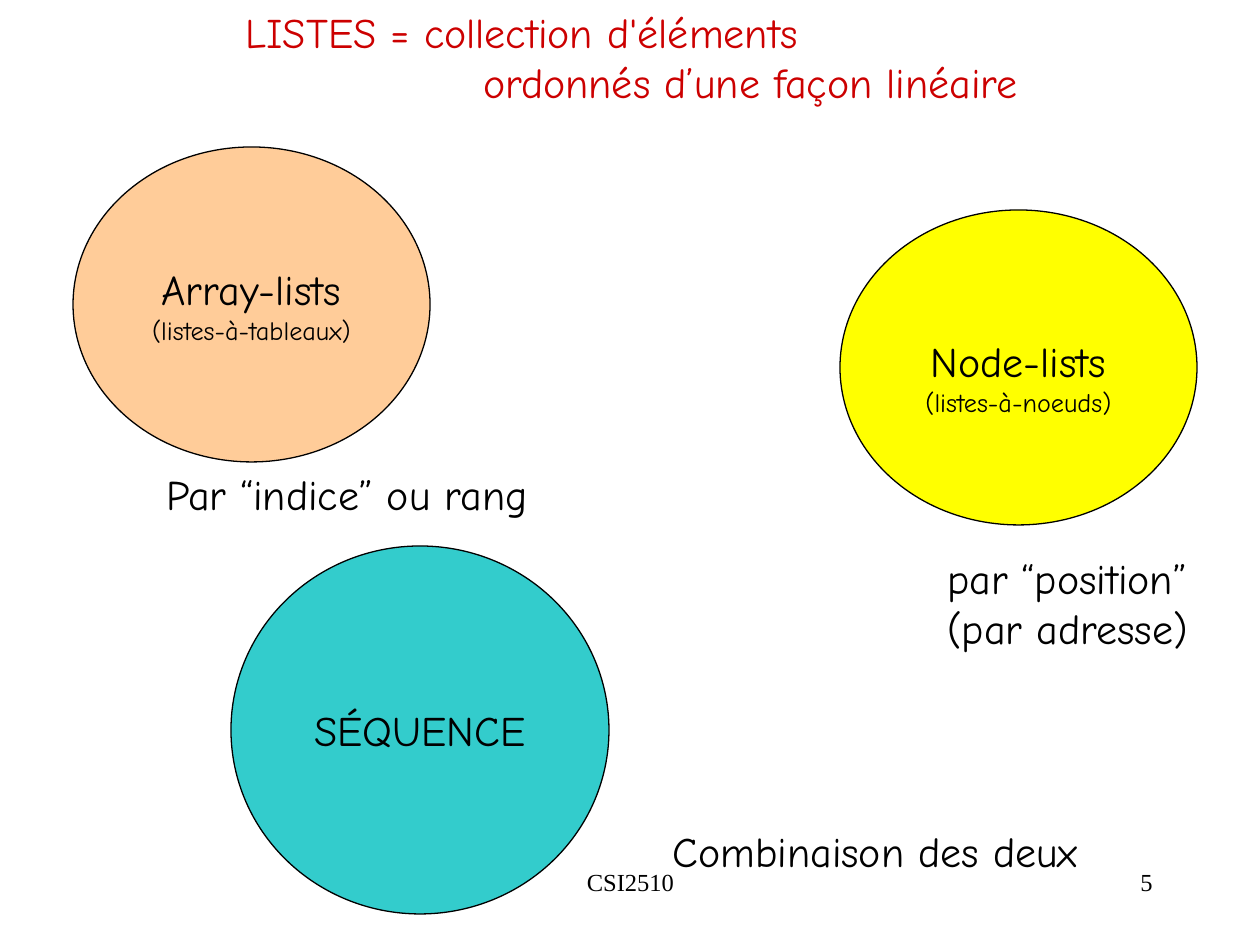
"""Build the slide that compares array lists, node lists and sequences."""
from dataclasses import dataclass

from pptx import Presentation
from pptx.dml.color import RGBColor
from pptx.enum.shapes import MSO_SHAPE as Shape
from pptx.enum.text import MSO_ANCHOR as Anchor, PP_ALIGN as Align
from pptx.util import Emu, Pt

PX_PER_INCH = 126
BLACK = RGBColor(0x00, 0x00, 0x00)
RED = RGBColor(0xCC, 0x00, 0x00)
PEACH = RGBColor(0xFF, 0xCC, 0x99)
YELLOW = RGBColor(0xFF, 0xFF, 0x00)
TEAL = RGBColor(0x33, 0xCC, 0xCC)
BODY_FONT = "Comic Neue"
FOOTER_FONT = "Times New Roman"


@dataclass(frozen=True)
class Line:
    text: str
    size: int = 24
    indent: int = 0


@dataclass(frozen=True)
class Circle:
    box: tuple[int, int, int, int]
    fill: RGBColor
    lines: tuple[Line, ...]
    top_inset: int = 6


@dataclass(frozen=True)
class Label:
    box: tuple[int, int, int, int]
    lines: tuple[Line, ...]
    color: RGBColor = BLACK
    font: str = BODY_FONT
    align: Align = Align.LEFT


FOOTERS = (
    Label((431, 861, 399, 63), (Line("CSI2510", 14),), font=FOOTER_FONT, align=Align.CENTER),
    Label((903, 861, 262, 63), (Line("5", 14),), font=FOOTER_FONT, align=Align.RIGHT),
)
CIRCLES = (
    Circle((73, 147, 357, 315), PEACH, (Line("Array-lists"), Line("(listes-à-tableaux)", 15))),
    Circle((840, 210, 357, 315), YELLOW,
           (Line("Node-lists"), Line("(listes-à-noeuds)", 15)), top_inset=25),
    Circle((231, 546, 378, 368), TEAL, (Line("SÉQUENCE"),)),
)
LABELS = (
    Label((154, 462, 417, 63), (Line("Par “indice” ou rang"),)),
    Label((935, 546, 266, 113), (Line("par “position”"), Line("(par adresse)"))),
    Label((660, 819, 431, 63), (Line("Combinaison des deux"),)),
    Label((233, 0, 800, 113),
          (Line("LISTES = collection d'éléments"),
           Line("ordonnés d’une façon linéaire", indent=238)), RED),
)


def px(n: int) -> Emu:
    """Turn pixels into EMU."""
    return Emu(round(n * 914400 / PX_PER_INCH))


def write(tf, lines: tuple[Line, ...], color: RGBColor, font: str, align: Align) -> None:
    """Write one paragraph per line into a text frame."""
    for i, line in enumerate(lines):
        p = tf.add_paragraph() if i else tf.paragraphs[0]
        p.alignment = align
        if line.indent:
            p._p.get_or_add_pPr().set("marL", str(px(line.indent)))
        r = p.add_run()
        r.text = line.text
        r.font.size = Pt(line.size)
        r.font.name = font
        r.font.color.rgb = color


def draw_circle(s, circle: Circle) -> None:
    """Draw an outlined ellipse with centred text."""
    sp = s.shapes.add_shape(Shape.OVAL, *map(px, circle.box))
    sp.shadow.inherit = False
    sp.fill.solid()
    sp.fill.fore_color.rgb = circle.fill
    sp.line.color.rgb = BLACK
    sp.line.width = Pt(0.75)
    tf = sp.text_frame
    tf.word_wrap = False
    tf.vertical_anchor = Anchor.MIDDLE
    tf.margin_top = px(circle.top_inset)
    write(tf, circle.lines, BLACK, BODY_FONT, Align.CENTER)


def draw_label(s, label: Label) -> None:
    """Draw a text box."""
    tf = s.shapes.add_textbox(*map(px, label.box)).text_frame
    tf.word_wrap = True
    if label.align == Align.LEFT:
        tf.margin_right = 0
    write(tf, label.lines, label.color, label.font, label.align)


def main() -> None:
    """Build and save the slide."""
    prs = Presentation()
    prs.slide_width, prs.slide_height = px(1260), px(945)
    s = prs.slides.add_slide(prs.slide_layouts[6])
    for footer in FOOTERS:
        draw_label(s, footer)
    for circle in CIRCLES:
        draw_circle(s, circle)
    for label in LABELS:
        draw_label(s, label)
    prs.save("out.pptx")


if __name__ == "__main__":
    main()
